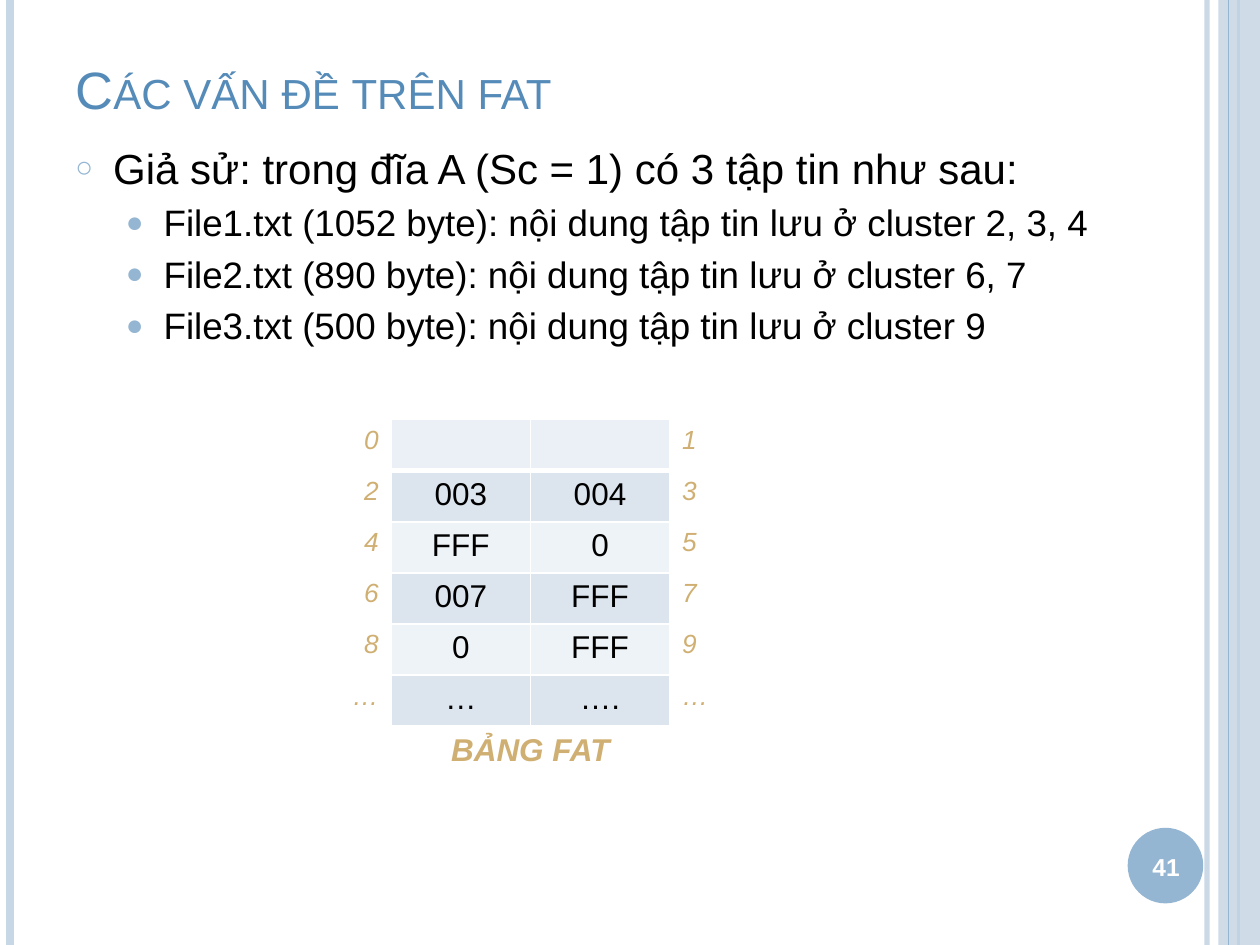
from lxml import etree
from pptx import Presentation, util as u
from pptx.dml.color import RGBColor
from pptx.enum import shapes, text
from pptx.oxml import ns

COLORS = {
    "pale": "C8D7E5", "blue": "94B6D2", "title": "558BB8", "gold": "D0AF72",
    "black": "000000", "white": "FFFFFF", "header": "EAF0F6",
    "odd": "DCE5EE", "even": "EEF3F7",
}
WIDTH, HEIGHT = 10, 7.5
TITLE = "Các vấn đề trên fat"
BULLETS = [
    (0, "Giả sử: trong đĩa A (Sc = 1) có 3 tập tin như sau:"),
    (1, "File1.txt (1052 byte): nội dung tập tin lưu ở cluster 2, 3, 4"),
    (1, "File2.txt (890 byte): nội dung tập tin lưu ở cluster 6, 7"),
    (1, "File3.txt (500 byte): nội dung tập tin lưu ở cluster 9"),
]
LEVELS = [
    {"size": 24, "margin": 0.3, "before": ("spcPts", 600), "mark": "○", "scale": 70},
    {"size": 21, "margin": 0.7, "before": ("spcPct", 20000), "mark": "●", "scale": 80},
]
FAT = [
    ("0", "", "", "1"),
    ("2", "003", "004", "3"),
    ("4", "FFF", "0", "5"),
    ("6", "007", "FFF", "7"),
    ("8", "0", "FFF", "9"),
    ("…", "…", "….", "…"),
]
CAPTION = "BẢNG FAT"
PAGE_NUMBER = "41"
LEFT_RULES = [(9.58, "pale", 3, 93), (0.08, "pale", 4.5, 100), (9.83, "blue", 1.5, 100)]
RIGHT_RULE = (9.75, "blue", 0.75, 100)
LEFT, CENTER, RIGHT = text.PP_ALIGN.LEFT, text.PP_ALIGN.CENTER, text.PP_ALIGN.RIGHT


def rgb(name):
    return RGBColor.from_string(COLORS[name])


def add_node(parent, tag, **attributes):
    node = etree.SubElement(parent, ns.qn("a:" + tag))
    for key, value in attributes.items():
        node.set(key, str(value))
    return node


def set_alpha(element, percent):
    if percent < 100:
        add_node(element.find(".//" + ns.qn("a:srgbClr")), "alpha", val=percent * 1000)


def write(para, words, size=18, color="black", bold=False, italic=False, align=LEFT):
    para.alignment = align
    span = para.add_run()
    span.text = words
    font = span.font
    font.name, font.size = "Arial", u.Pt(size)
    font.bold, font.italic = bold, italic
    font.color.rgb = rgb(color)
    return span


def add_rule(page, x, color, width, opacity):
    line = page.shapes.add_connector(
        shapes.MSO_CONNECTOR.STRAIGHT, u.Inches(x), 0, u.Inches(x), u.Inches(HEIGHT))
    line.line.color.rgb = rgb(color)
    line.line.width = u.Pt(width)
    properties = line._element.spPr
    set_alpha(properties, opacity)
    add_node(properties, "effectLst")


def add_block(page, kind, box, color, opacity=100):
    block = page.shapes.add_shape(kind, *map(u.Inches, box))
    block.shadow.inherit = False
    block.fill.solid()
    block.fill.fore_color.rgb = rgb(color)
    block.line.fill.background()
    set_alpha(block._element.spPr, opacity)


def add_text_box(page, box, anchor):
    frame = page.shapes.add_textbox(*map(u.Inches, box)).text_frame
    frame.word_wrap = True
    frame.vertical_anchor = anchor
    return frame


def add_bullet(para, level):
    style = LEVELS[level]
    properties = para._p.get_or_add_pPr()
    properties.set("marL", str(u.Inches(style["margin"])))
    properties.set("indent", str(u.Inches(-0.3)))
    properties.set("lvl", str(level))
    kind, amount = style["before"]
    add_node(add_node(properties, "spcBef"), kind, val=amount)
    add_node(add_node(properties, "buClr"), "srgbClr", val=COLORS["blue"])
    add_node(properties, "buSzPct", val=style["scale"] * 1000)
    add_node(properties, "buFont", typeface="Arial")
    add_node(properties, "buChar", char=style["mark"])


def style_cell(cell, fill=None, bottom=1, top=1):
    properties = cell._tc.get_or_add_tcPr()
    for side, width in zip("LRTB", (1, 1, top, bottom)):
        border = add_node(properties, "ln" + side, w=u.Pt(width))
        add_node(add_node(border, "solidFill"), "srgbClr", val=COLORS["white"])
    if fill:
        cell.fill.solid()
        cell.fill.fore_color.rgb = rgb(fill)
    else:
        cell.fill.background()


def add_fat_table(page):
    rows, columns = len(FAT) + 1, len(FAT[0])
    frame = page.shapes.add_table(
        rows, columns, *map(u.Inches, (2, 3.33, 4.42, 2.84)))
    table = frame.table
    table.first_row = table.horz_banding = False
    for row in table.rows:
        row.height = u.Inches(2.84 / rows)
    for r, entries in enumerate(FAT):
        band = "header" if r == 0 else "odd" if r % 2 else "even"
        for c, words in enumerate(entries):
            cell = table.cell(r, c)
            inner = 0 < c < columns - 1
            style_cell(cell, band if inner else None,
                       bottom=3 if r == 0 else 1, top=3 if r == 1 else 1)
            para = cell.text_frame.paragraphs[0]
            if inner and words:
                write(para, words, align=CENTER)
            elif words:
                write(para, words, size=15, color="gold", italic=True,
                      align=LEFT if c else RIGHT)
    caption = table.cell(rows - 1, 0)
    caption.merge(table.cell(rows - 1, columns - 1))
    for c in range(columns):
        style_cell(table.cell(rows - 1, c))
    write(caption.text_frame.paragraphs[0], CAPTION, color="gold",
          bold=True, italic=True, align=CENTER)


def main():
    deck = Presentation()
    deck.slide_width, deck.slide_height = u.Inches(WIDTH), u.Inches(HEIGHT)
    page = deck.slides.add_slide(deck.slide_layouts[5])

    for rule in LEFT_RULES:
        add_rule(page, *rule)
    add_block(page, shapes.MSO_SHAPE.RECTANGLE, (9.67, 0, 0.33, HEIGHT), "pale", 87)
    add_rule(page, *RIGHT_RULE)
    add_block(page, shapes.MSO_SHAPE.OVAL, (8.95, 6.57, 0.6, 0.6), "blue")

    title = page.shapes.title
    title.left, title.top, title.width, title.height = map(u.Inches, (0.5, 0.3, 8.42, 0.7))
    title.text_frame.vertical_anchor = text.MSO_ANCHOR.BOTTOM
    span = write(title.text_frame.paragraphs[0], TITLE, size=30, color="title")
    span.font._element.set("cap", "small")

    body = add_text_box(page, (0.5, 1.08, 8.42, 6), text.MSO_ANCHOR.TOP)
    for index, (level, words) in enumerate(BULLETS):
        para = body.add_paragraph() if index else body.paragraphs[0]
        write(para, words, size=LEVELS[level]["size"])
        add_bullet(para, level)

    number = add_text_box(page, (8.92, 6.59, 0.67, 0.57), text.MSO_ANCHOR.MIDDLE)
    write(number.paragraphs[0], PAGE_NUMBER, size=14, color="white", bold=True, align=CENTER)

    add_fat_table(page)
    deck.save("out.pptx")


if __name__ == "__main__":
    main()
